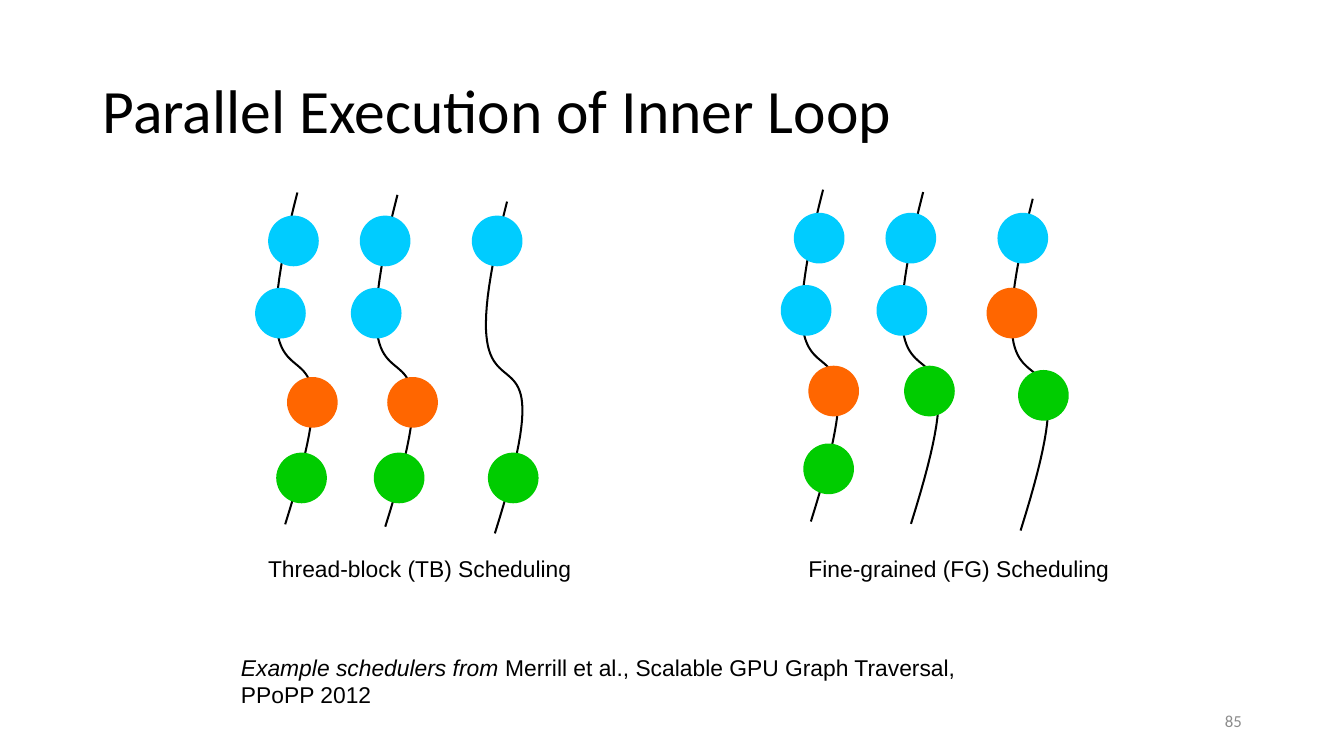
"""Build a slide comparing two schedulers for the parallel inner loop."""
from dataclasses import dataclass

from pptx import Presentation
from pptx.dml.color import RGBColor
from pptx.enum.shapes import MSO_SHAPE
from pptx.enum.text import MSO_ANCHOR, MSO_AUTO_SIZE, PP_ALIGN
from pptx.slide import Slide
from pptx.text.text import TextFrame
from pptx.util import Pt

OVAL = MSO_SHAPE.OVAL
MIDDLE, TOP = MSO_ANCHOR.MIDDLE, MSO_ANCHOR.TOP
LEFT, RIGHT = PP_ALIGN.LEFT, PP_ALIGN.RIGHT
NO_AUTOFIT = MSO_AUTO_SIZE.NONE


@dataclass(frozen=True)
class Theme:
    ink: str = "000000"
    muted: str = "8C8C8C"
    blue: str = "00CCFF"
    orange: str = "FF6600"
    green: str = "00CC00"
    heading_font: str = "Calibri"
    body_font: str = "Arial"
    title_size: float = 44
    body_size: float = 16.3
    number_size: float = 12
    thread_width: float = 1.45
    task_diameter: float = 36.2


@dataclass(frozen=True)
class Point:
    x: float
    y: float


@dataclass(frozen=True)
class Task:
    x: float
    y: float
    color: str


@dataclass(frozen=True)
class Panel:
    caption: str
    caption_left: float
    caption_width: float
    origin: Point
    tasks: tuple[Task, ...]


@dataclass(frozen=True)
class Span:
    text: str
    italic: bool = False


THEME = Theme()
THREAD_STEPS = 48
THREAD_BENDS = (Point(-52, 203), Point(52, 44.8), Point(-8.7, 237))
THREAD_TOPS = (Point(212.4, 137.5), Point(283.9, 139.2), Point(362.2, 144))
SHARED_TASKS = (
    Task(191.5, 154, THEME.blue), Task(257, 154, THEME.blue), Task(337, 154, THEME.blue),
    Task(182.2, 205.6, THEME.blue), Task(250.6, 205.6, THEME.blue),
)
PANELS = (
    Panel("Thread-block (TB) Scheduling", 185, 231.8, Point(0, 0), SHARED_TASKS + (
        Task(205, 269.3, THEME.orange), Task(276.6, 269.3, THEME.orange),
        Task(197.3, 323.3, THEME.green), Task(267, 323.3, THEME.green),
        Task(348.5, 323.3, THEME.green),
    )),
    Panel("Fine-grained (FG) Scheduling", 571, 230.4, Point(375.5, -2), SHARED_TASKS + (
        Task(329.2, 207.5, THEME.orange), Task(201.9, 263.2, THEME.orange),
        Task(270.3, 263.2, THEME.green), Task(351.7, 266.3, THEME.green),
        Task(198.3, 318.8, THEME.green),
    )),
)
CITATION = (
    (Span("Example schedulers from ", italic=True),
     Span("Merrill et al., Scalable GPU Graph Traversal,")),
    (Span("PPoPP 2012"),),
)


def write_text(frame: TextFrame, lines: tuple[tuple[Span, ...], ...], *,
               font: str = THEME.body_font, size: float = THEME.body_size,
               color: str = THEME.ink, align: PP_ALIGN = LEFT,
               anchor: MSO_ANCHOR = TOP, wrap: bool = False,
               inset_x: float = 6.5, inset_y: float = 3.1,
               line_spacing: float = 1.0) -> None:
    frame.auto_size = NO_AUTOFIT
    frame.word_wrap = wrap
    frame.vertical_anchor = anchor
    frame.margin_left = frame.margin_right = Pt(inset_x)
    frame.margin_top = frame.margin_bottom = Pt(inset_y)
    for index, spans in enumerate(lines):
        para = frame.add_paragraph() if index else frame.paragraphs[0]
        para.alignment = align
        para.line_spacing = line_spacing
        para.space_before = Pt(0)
        for span in spans:
            run = para.add_run()
            run.text = span.text
            run.font.name = font
            run.font.size = Pt(size)
            run.font.italic = span.italic
            run.font.color.rgb = RGBColor.from_string(color)


def add_box(page: Slide, left: float, top: float, width: float, height: float) -> TextFrame:
    return page.shapes.add_textbox(Pt(left), Pt(top), Pt(width), Pt(height)).text_frame


def bezier(start: float, first: float, second: float, end: float, t: float) -> float:
    u = 1 - t
    return u**3 * start + 3 * u**2 * t * first + 3 * u * t**2 * second + t**3 * end


def draw_thread(page: Slide, x: float, y: float) -> None:
    first, second, end = THREAD_BENDS
    points = []
    for step in range(THREAD_STEPS + 1):
        t = step / THREAD_STEPS
        points.append((Pt(x + bezier(0, first.x, second.x, end.x, t)),
                       Pt(y + bezier(0, first.y, second.y, end.y, t))))
    builder = page.shapes.build_freeform(*points[0])
    builder.add_line_segments(points[1:], close=False)
    thread = builder.convert_to_shape()
    thread.shadow.inherit = False
    thread.fill.background()
    thread.line.color.rgb = RGBColor.from_string(THEME.ink)
    thread.line.width = Pt(THEME.thread_width)


def draw_task(page: Slide, x: float, y: float, color: str) -> None:
    diameter = Pt(THEME.task_diameter)
    circle = page.shapes.add_shape(OVAL, Pt(x), Pt(y), diameter, diameter)
    circle.shadow.inherit = False
    circle.fill.solid()
    circle.fill.fore_color.rgb = RGBColor.from_string(color)
    circle.line.fill.background()


def draw_panel(page: Slide, panel: Panel) -> None:
    for top in THREAD_TOPS:
        draw_thread(page, panel.origin.x + top.x, panel.origin.y + top.y)
    for task in panel.tasks:
        draw_task(page, panel.origin.x + task.x, panel.origin.y + task.y, task.color)
    caption = add_box(page, panel.caption_left, 393, panel.caption_width, 25.2)
    write_text(caption, ((Span(panel.caption),),))


def main() -> None:
    deck = Presentation()
    deck.slide_width, deck.slide_height = Pt(960), Pt(540)
    page = deck.slides.add_slide(deck.slide_layouts.get_by_name("Title Only"))
    title = page.shapes.title
    title.left, title.top, title.width, title.height = Pt(66.2), Pt(28.8), Pt(828), Pt(104.4)
    write_text(title.text_frame, ((Span("Parallel Execution of Inner Loop"),),),
               font=THEME.heading_font, size=THEME.title_size, anchor=MIDDLE,
               wrap=True, inset_x=7.2, inset_y=3.6, line_spacing=0.9)
    for panel in PANELS:
        draw_panel(page, panel)
    write_text(add_box(page, 165.6, 463.7, 529.2, 44.6), CITATION)
    write_text(add_box(page, 678.2, 500.4, 216, 28.8), ((Span("85"),),),
               font=THEME.heading_font, size=THEME.number_size, color=THEME.muted,
               align=RIGHT, anchor=MIDDLE, wrap=True, inset_x=7.2, inset_y=3.6)
    deck.save("out.pptx")


if __name__ == "__main__":
    main()
